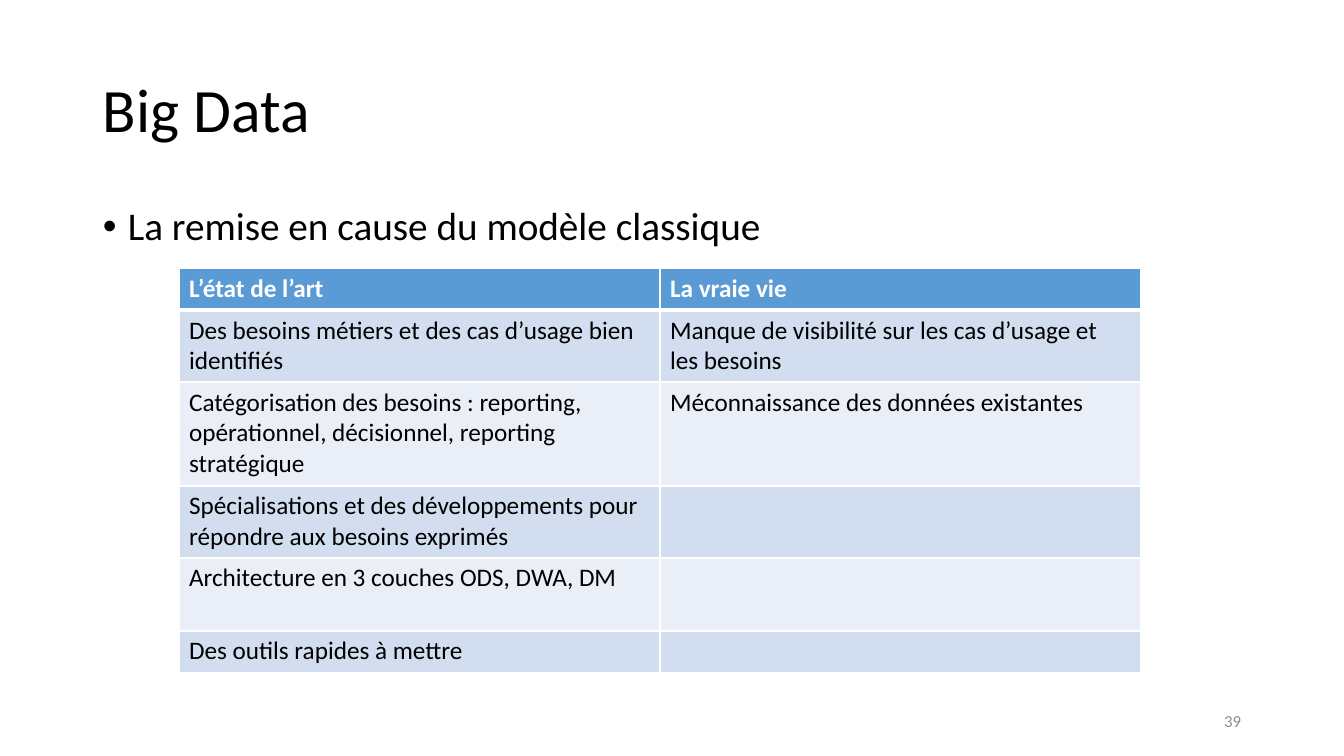
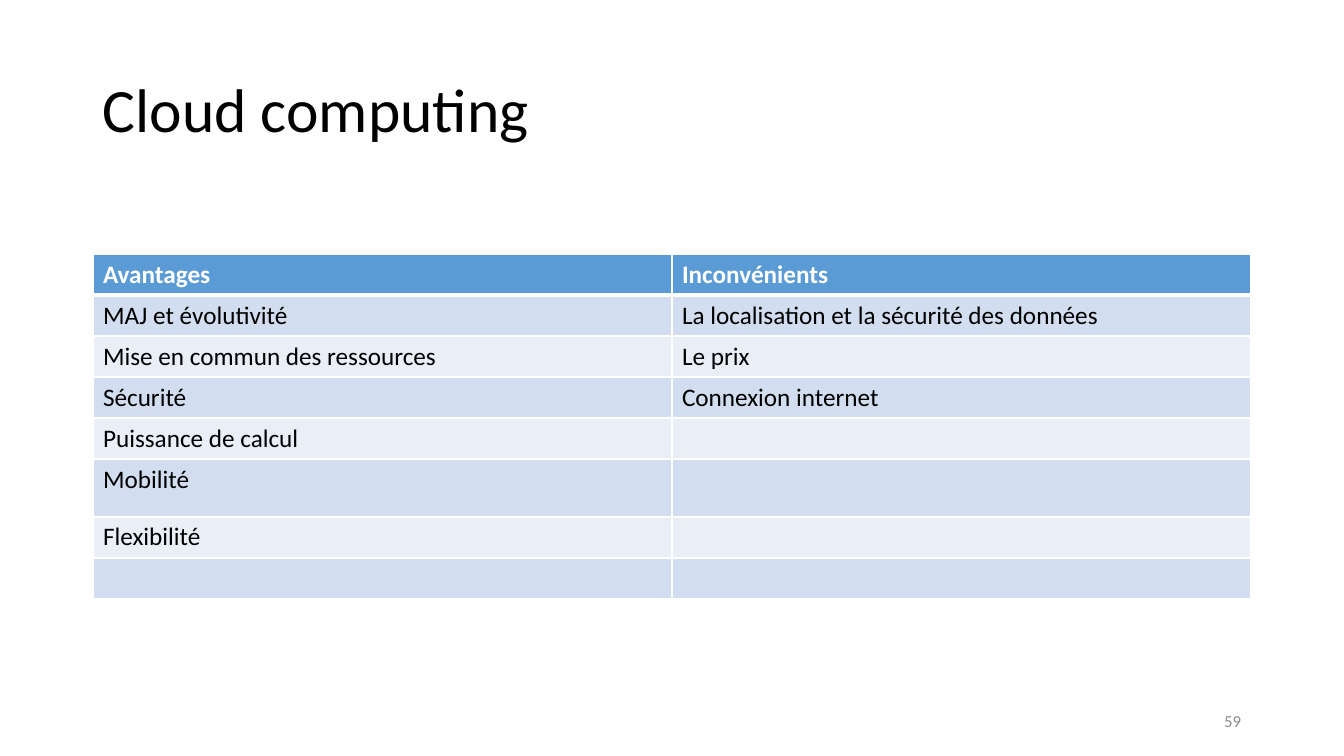
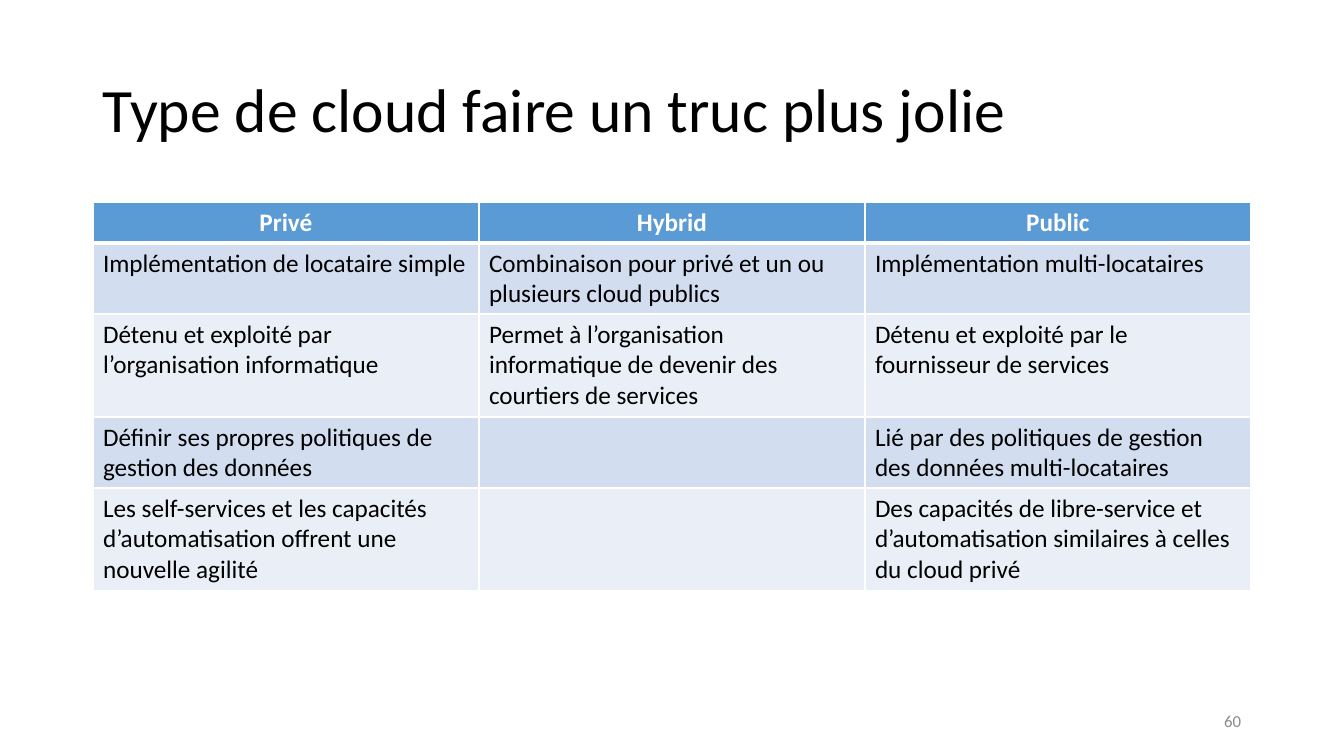
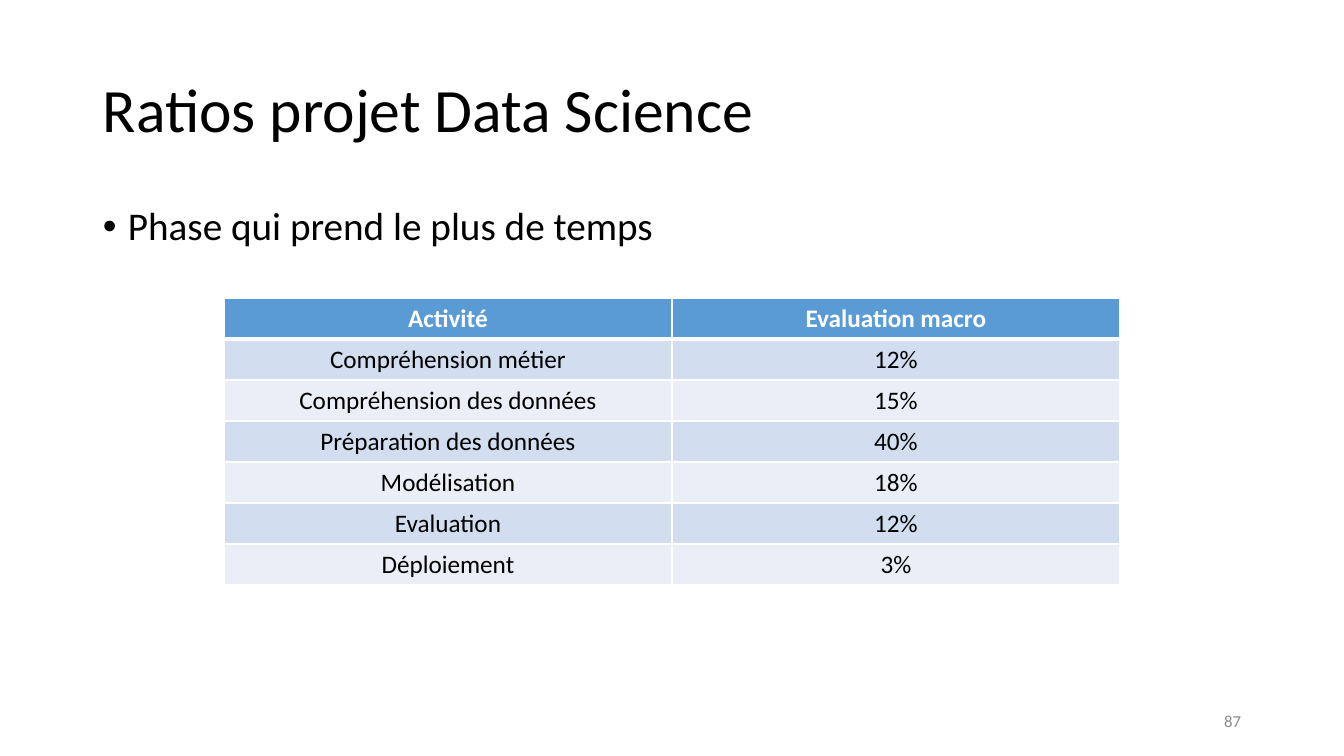
import pptx
import pptx.dml.color
import pptx.enum.text
import pptx.oxml
import pptx.oxml.ns
import pptx.util
from lxml import etree

PX = 12192000 / 1344
FONT = "Calibri"
BLACK = pptx.dml.color.RGBColor(0x00, 0x00, 0x00)
WHITE = pptx.dml.color.RGBColor(0xFF, 0xFF, 0xFF)
GREY = pptx.dml.color.RGBColor(0x8C, 0x8C, 0x8C)
HEADER_BLUE = pptx.dml.color.RGBColor(0x5B, 0x9B, 0xD5)
BAND_DARK = pptx.dml.color.RGBColor(0xD2, 0xDE, 0xEF)
BAND_LIGHT = pptx.dml.color.RGBColor(0xEA, 0xEF, 0xF7)
LEFT = pptx.enum.text.PP_ALIGN.LEFT
CENTER = pptx.enum.text.PP_ALIGN.CENTER
RIGHT = pptx.enum.text.PP_ALIGN.RIGHT
TOP = pptx.enum.text.MSO_ANCHOR.TOP
MIDDLE = pptx.enum.text.MSO_ANCHOR.MIDDLE

TITLE_BOX = (93, 40, 1159, 146)
BODY_BOX = (93, 202, 1159, 480)
NUMBER_BOX = (949, 701, 302, 40)


def px(length):
    return pptx.util.Emu(round(length * PX))


def add_line(slide, box, text, size, color=BLACK, anchor=MIDDLE, align=LEFT,
             spacing=None, bullet=False):
    """Add a text box that holds one paragraph."""
    frame = slide.shapes.add_textbox(*map(px, box)).text_frame
    frame.word_wrap = True
    frame.vertical_anchor = anchor
    paragraph = frame.paragraphs[0]
    if bullet:
        properties = paragraph._p.get_or_add_pPr()
        properties.set("marL", str(px(25)))
        properties.set("indent", str(-px(25)))
        for tag, key, value in (("a:buFont", "typeface", "Arial"), ("a:buChar", "char", "•")):
            etree.SubElement(properties, pptx.oxml.ns.qn(tag)).set(key, value)
    paragraph.alignment = align
    paragraph.line_spacing = spacing
    run = paragraph.add_run()
    run.text = text
    run.font.name, run.font.size = FONT, pptx.util.Pt(size)
    run.font.color.rgb = color


# Each table: left, top, column width, row heights, alignments of header and body, rows
slides = [
    ("Big Data", "La remise en cause du modèle classique", "39",
     (179, 268, 481, [42, 72, 104, 72, 73, 42], LEFT, LEFT, [
         ("L’état de l’art", "La vraie vie"),
         ("Des besoins métiers et des cas d’usage bien identifiés",
          "Manque de visibilité sur les cas d’usage et les besoins"),
         ("Catégorisation des besoins : reporting, opérationnel, décisionnel, "
          "reporting stratégique", "Méconnaissance des données existantes"),
         ("Spécialisations et des développements pour répondre aux besoins exprimés", ""),
         ("Architecture en 3 couches ODS, DWA, DM", ""),
         ("Des outils rapides à mettre", ""),
     ])),
    ("Cloud computing", None, "59",
     (93, 254, 579, [41] * 5 + [58] + [41] * 2, LEFT, LEFT, [
         ("Avantages", "Inconvénients"),
         ("MAJ et évolutivité", "La localisation et la sécurité des données"),
         ("Mise en commun des ressources", "Le prix"),
         ("Sécurité", "Connexion internet"),
         ("Puissance de calcul", ""),
         ("Mobilité", ""),
         ("Flexibilité", ""),
         ("", ""),
     ])),
    ("Type de cloud faire un truc plus jolie", None, "60",
     (93, 202, 386, [41, 71, 103, 71, 103], CENTER, LEFT, [
         ("Privé", "Hybrid", "Public"),
         ("Implémentation de locataire simple",
          "Combinaison pour privé et un ou plusieurs cloud publics",
          "Implémentation multi-locataires"),
         ("Détenu et exploité par l’organisation informatique",
          "Permet à l’organisation informatique de devenir des courtiers de services",
          "Détenu et exploité par le fournisseur de services"),
         ("Définir ses propres politiques de gestion des données", "",
          "Lié par des politiques de gestion des données multi-locataires"),
         ("Les self-services et les capacités d’automatisation offrent une nouvelle agilité",
          "",
          "Des capacités de libre-service et d’automatisation similaires à celles "
          "du cloud privé"),
     ])),
    ("Ratios projet Data Science", "Phase qui prend le plus de temps", "87",
     (224, 298, 448, [41] * 7, CENTER, CENTER, [
         ("Activité", "Evaluation macro"),
         ("Compréhension métier", "12%"),
         ("Compréhension des données", "15%"),
         ("Préparation des données", "40%"),
         ("Modélisation", "18%"),
         ("Evaluation", "12%"),
         ("Déploiement", "3%"),
     ])),
]

deck = pptx.Presentation()
deck.slide_width, deck.slide_height = px(1344), px(756)

for title, statement, number, table_plan in slides:
    slide = deck.slides.add_slide(deck.slide_layouts[6])
    add_line(slide, TITLE_BOX, title, 44, spacing=0.9)
    if statement:
        add_line(slide, BODY_BOX, statement, 28, anchor=TOP, spacing=0.9, bullet=True)
    add_line(slide, NUMBER_BOX, number, 12, color=GREY, align=RIGHT)

    left, top, column_width, heights, header_align, body_align, rows = table_plan
    columns = len(rows[0])
    table = slide.shapes.add_table(len(rows), columns, px(left), px(top),
                                   px(column_width * columns), px(sum(heights))).table
    table.horz_banding = False
    for column in table.columns:
        column.width = px(column_width)
    for r, (height, texts) in enumerate(zip(heights, rows)):
        table.rows[r].height = px(height)
        header = r == 0
        fill = HEADER_BLUE if header else (BAND_DARK if r % 2 else BAND_LIGHT)
        for c, text in enumerate(texts):
            cell = table.cell(r, c)
            properties = cell._tc.get_or_add_tcPr()
            for side in "LRTB":
                thick = (r, side) in ((0, "B"), (1, "T"))
                border = etree.SubElement(properties, pptx.oxml.ns.qn("a:ln" + side))
                border.set("w", str(pptx.util.Pt(3 if thick else 1)))
                paint = etree.SubElement(border, pptx.oxml.ns.qn("a:solidFill"))
                etree.SubElement(paint, pptx.oxml.ns.qn("a:srgbClr")).set("val", str(WHITE))
            cell.fill.solid()
            cell.fill.fore_color.rgb = fill
            if text:
                paragraph = cell.text_frame.paragraphs[0]
                paragraph.alignment = header_align if header else body_align
                run = paragraph.add_run()
                run.text = text
                run.font.name, run.font.size = FONT, pptx.util.Pt(18)
                run.font.bold = header
                run.font.color.rgb = WHITE if header else BLACK

deck.save("out.pptx")
